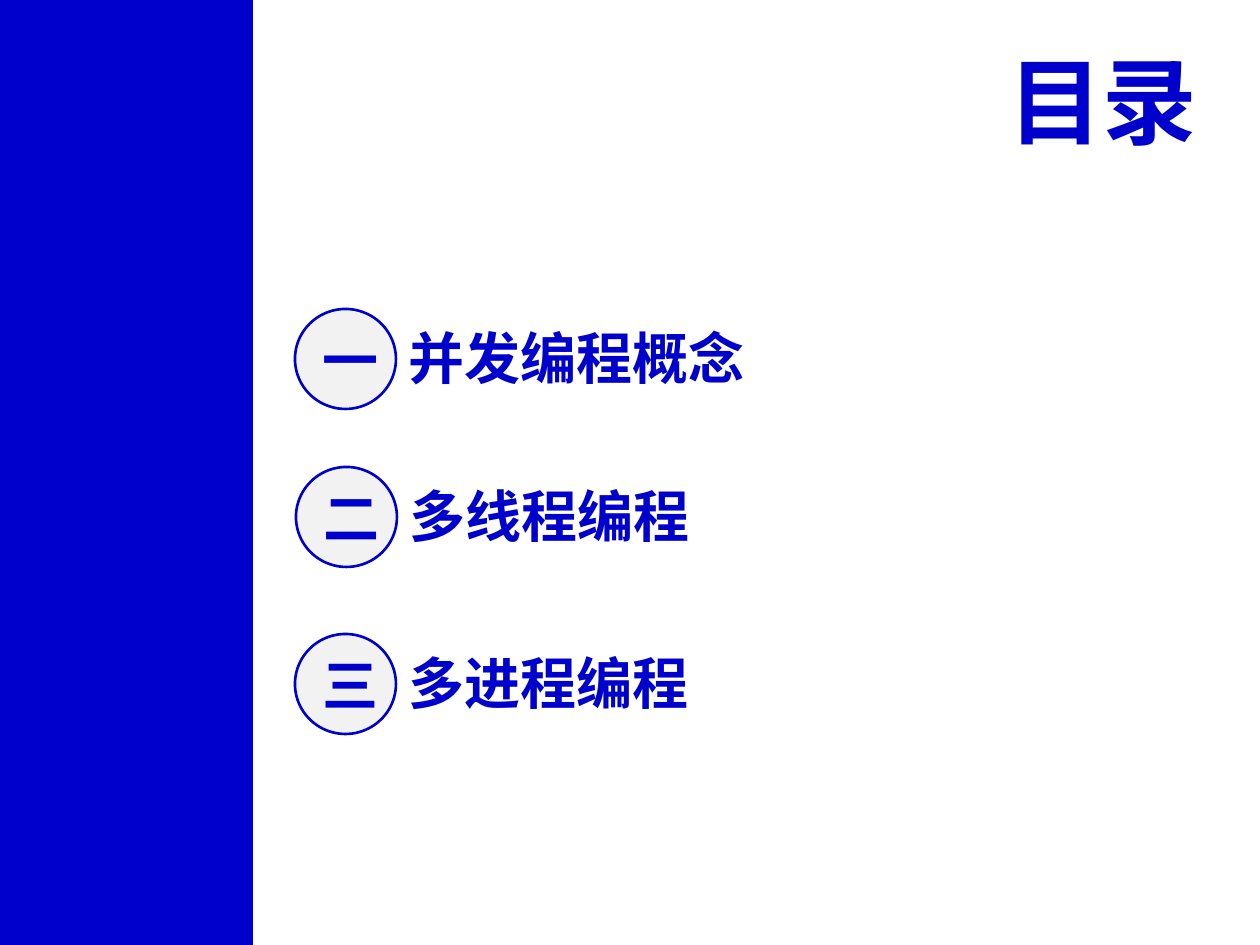
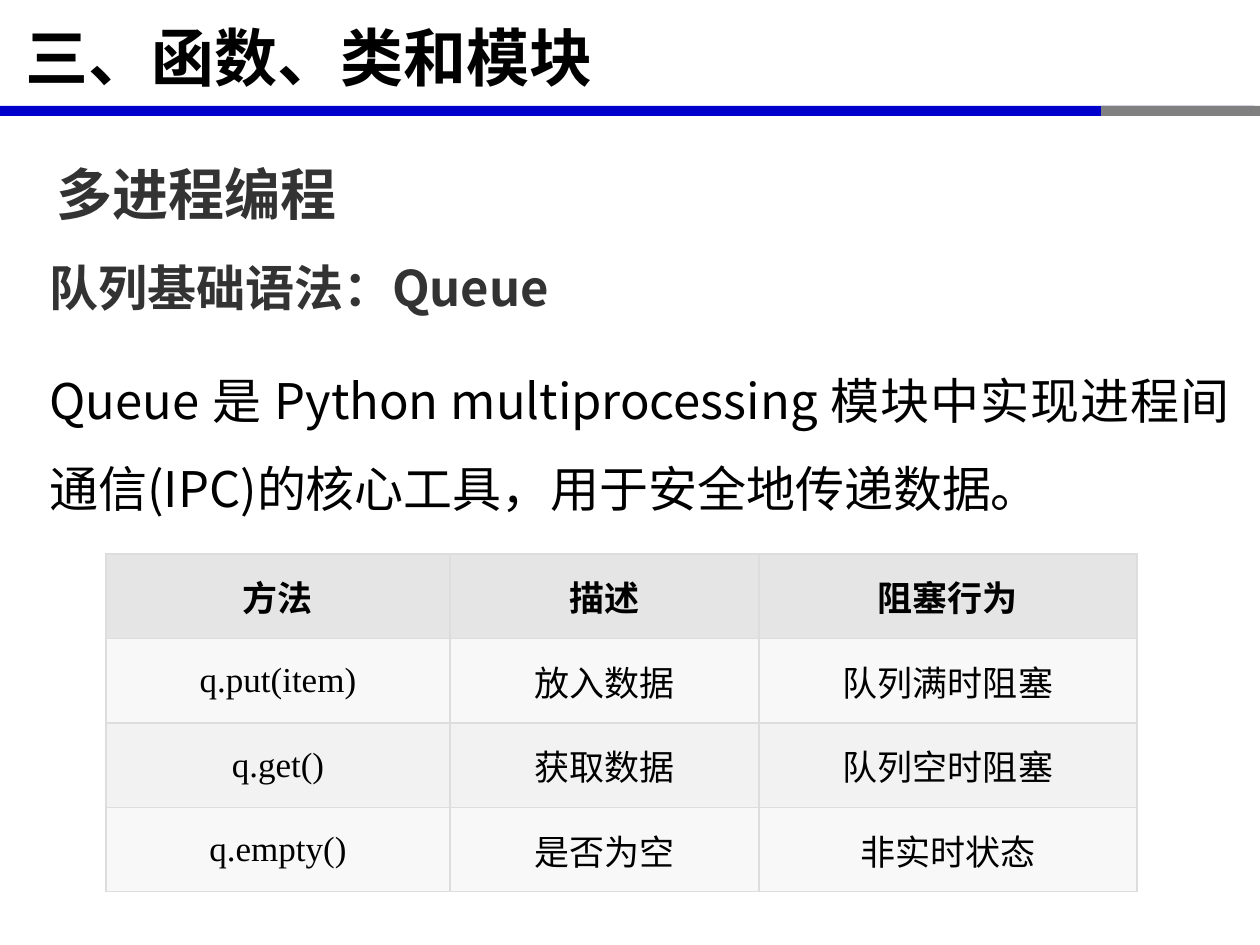
from lxml import etree
from pptx import Presentation
from pptx.dml.color import RGBColor
from pptx.enum.shapes import MSO_SHAPE
from pptx.enum.text import MSO_ANCHOR, MSO_AUTO_SIZE, PP_ALIGN
from pptx.oxml.ns import qn
from pptx.util import Emu, Pt

RECTANGLE, OVAL = MSO_SHAPE.RECTANGLE, MSO_SHAPE.OVAL
LEFT, CENTER, RIGHT = PP_ALIGN.LEFT, PP_ALIGN.CENTER, PP_ALIGN.RIGHT
JUSTIFY = PP_ALIGN.JUSTIFY
TOP, MIDDLE = MSO_ANCHOR.TOP, MSO_ANCHOR.MIDDLE
NO_AUTOFIT = MSO_AUTO_SIZE.NONE

BLUE = RGBColor(0x00, 0x00, 0xCC)
GREY = RGBColor(0x80, 0x80, 0x80)
PALE = RGBColor(0xF2, 0xF2, 0xF2)
BLACK = RGBColor(0x00, 0x00, 0x00)
DARK = RGBColor(0x33, 0x33, 0x33)
HEADER_FILL = RGBColor(0xE5, 0xE5, 0xE5)
ODD_ROW_FILL = RGBColor(0xF8, 0xF8, 0xF8)
BORDER = RGBColor(0xDD, 0xDD, 0xDD)

CJK, SANS, SERIF = "Noto Sans CJK SC", "Arial", "Times New Roman"
TITLE_ONLY, TITLE_AND_BODY = 5, 1
PX_PER_INCH = 126
SLIDE_W, SLIDE_H = 1260, 945

CONTENTS = [
    ("一", "并发编程概念", 295, 309),
    ("二", "多线程编程", 296, 467),
    ("三", "多进程编程", 295, 634),
]
QUEUE_METHODS = [
    ("方法", "描述", "阻塞行为"),
    ("q.put(item)", "放入数据", "队列满时阻塞"),
    ("q.get()", "获取数据", "队列空时阻塞"),
    ("q.empty()", "是否为空", "非实时状态"),
]


def px(length):
    return Emu(round(length * 914400 / PX_PER_INCH))


def emu_box(box):
    return [px(length) for length in box]


def move(shape, box):
    shape.left, shape.top, shape.width, shape.height = emu_box(box)


def style(paragraph, size, color, font=CJK, bold=True, align=LEFT):
    paragraph.alignment = align
    for run in paragraph.runs:
        run.font.size, run.font.bold = Pt(size), bold
        run.font.color.rgb = color
        run.font.name = font
        east_asian = etree.SubElement(run.font._element, qn("a:ea"))
        east_asian.set("typeface", CJK)


def space_half_line_before(paragraph):
    paragraph.space_before = Pt(0)
    spacing = paragraph._p.pPr.find(qn("a:spcBef"))
    spacing.remove(spacing[0])
    etree.SubElement(spacing, qn("a:spcPct")).set("val", "50000")


def make_prose(paragraph):
    """Open line spacing without bullet or indent."""
    paragraph.line_spacing = 1.5
    space_half_line_before(paragraph)
    properties = paragraph._p.pPr
    properties.set("marL", "0")
    properties.set("indent", "0")
    etree.SubElement(properties, qn("a:buNone"))


def add_filled(shapes, preset, box, fill, line=None):
    shape = shapes.add_shape(preset, *emu_box(box))
    shape.shadow.inherit = False
    shape.fill.solid()
    shape.fill.fore_color.rgb = fill
    if line is None:
        shape.line.fill.background()
    else:
        shape.line.color.rgb = line
        shape.line.width = Pt(1.5)
    return shape


def set_title(slide, text, box, anchor, size, color, font=CJK, align=LEFT):
    title = slide.shapes.title
    move(title, box)
    frame = title.text_frame
    frame.text = text
    frame.auto_size = NO_AUTOFIT
    frame.vertical_anchor = anchor
    style(frame.paragraphs[0], size, color, font, align=align)
    return frame


def add_contents_entry(slide, numeral, topic, left, top):
    entry = slide.shapes.add_group_shape().shapes
    badge = add_filled(entry, OVAL, (left, top, 101, 100), PALE, BLUE)
    badge.text_frame.text = numeral
    badge.text_frame.vertical_anchor = MIDDLE
    style(badge.text_frame.paragraphs[0], 32, BLUE, align=CENTER)

    label = entry.add_textbox(*emu_box((left + 101, top + 8, 781, 81))).text_frame
    label.word_wrap = True
    label.vertical_anchor = MIDDLE
    label.text = topic
    style(label.paragraphs[0], 32, BLUE, SANS)


def add_title_rule(slide, top):
    add_filled(slide.shapes, RECTANGLE, (0, top, 1254, 10), BLUE)
    add_filled(slide.shapes, RECTANGLE, (1101, top, 159, 10), GREY)


def add_section_heading(slide, text, box):
    heading = slide.shapes.add_textbox(*emu_box(box)).text_frame
    heading.word_wrap = True
    heading.text = text
    make_prose(heading.paragraphs[0])
    style(heading.paragraphs[0], 32, DARK, align=JUSTIFY)


def fill_body(slide, topic, explanation, box):
    body = slide.placeholders[1]
    move(body, box)
    frame = body.text_frame
    frame.auto_size = NO_AUTOFIT
    frame.text = topic
    frame.add_paragraph().text = explanation
    for paragraph, color, bold in zip(frame.paragraphs, (DARK, BLACK), (True, False)):
        make_prose(paragraph)
        style(paragraph, 28, color, bold=bold, align=JUSTIFY)


def add_borders(cell):
    properties = cell._tc.get_or_add_tcPr()
    for position, side in enumerate(("lnL", "lnR", "lnT", "lnB")):
        line = etree.Element(qn(f"a:{side}"), w=str(Pt(0.75)))
        fill = etree.SubElement(line, qn("a:solidFill"))
        etree.SubElement(fill, qn("a:srgbClr")).set("val", str(BORDER))
        properties.insert(position, line)


def add_method_table(slide, rows, box, column_widths):
    table = slide.shapes.add_table(len(rows), len(rows[0]), *emu_box(box)).table
    table.first_row = table.horz_banding = False
    for column, width in zip(table.columns, column_widths):
        column.width = px(width)
    for row_index, values in enumerate(rows):
        table.rows[row_index].height = px(box[3]) // len(rows)
        is_header = row_index == 0
        row_fill = HEADER_FILL if is_header else (PALE, ODD_ROW_FILL)[row_index % 2]
        for cell, value in zip(table.rows[row_index].cells, values):
            cell.text = value
            cell.vertical_anchor = MIDDLE
            cell.fill.solid()
            cell.fill.fore_color.rgb = row_fill
            add_borders(cell)
            paragraph = cell.text_frame.paragraphs[0]
            space_half_line_before(paragraph)
            style(paragraph, 20, BLACK, SERIF, is_header, CENTER)


def build_contents_slide(deck):
    slide = deck.slides.add_slide(deck.slide_layouts[TITLE_ONLY])
    add_filled(slide.shapes, RECTANGLE, (0, 0, 253, SLIDE_H), BLUE)
    title = set_title(slide, "目录", (988, 37, 222, 127), TOP, 54, BLUE, SANS, RIGHT)
    title.word_wrap = False
    for entry in CONTENTS:
        add_contents_entry(slide, *entry)


def build_queue_slide(deck):
    slide = deck.slides.add_slide(deck.slide_layouts[TITLE_AND_BODY])
    add_title_rule(slide, 106)
    title = set_title(slide, "三、函数、类和模块", (0, 1, 1242, 110), MIDDLE, 36, BLACK)
    title.margin_left = px(25)
    add_section_heading(slide, "多进程编程", (44, 120, 1173, 102))
    fill_body(
        slide,
        "队列基础语法：Queue",
        "Queue 是 Python multiprocessing 模块中实现进程间通信(IPC)的核心工具，用于安全地传递数据。",
        (37, 222, 1205, 299),
    )
    add_method_table(slide, QUEUE_METHODS, (106, 554, 1031, 338), (344, 309, 378))


def main():
    deck = Presentation()
    deck.slide_width, deck.slide_height = px(SLIDE_W), px(SLIDE_H)
    build_contents_slide(deck)
    build_queue_slide(deck)
    deck.save("out.pptx")


if __name__ == "__main__":
    main()
